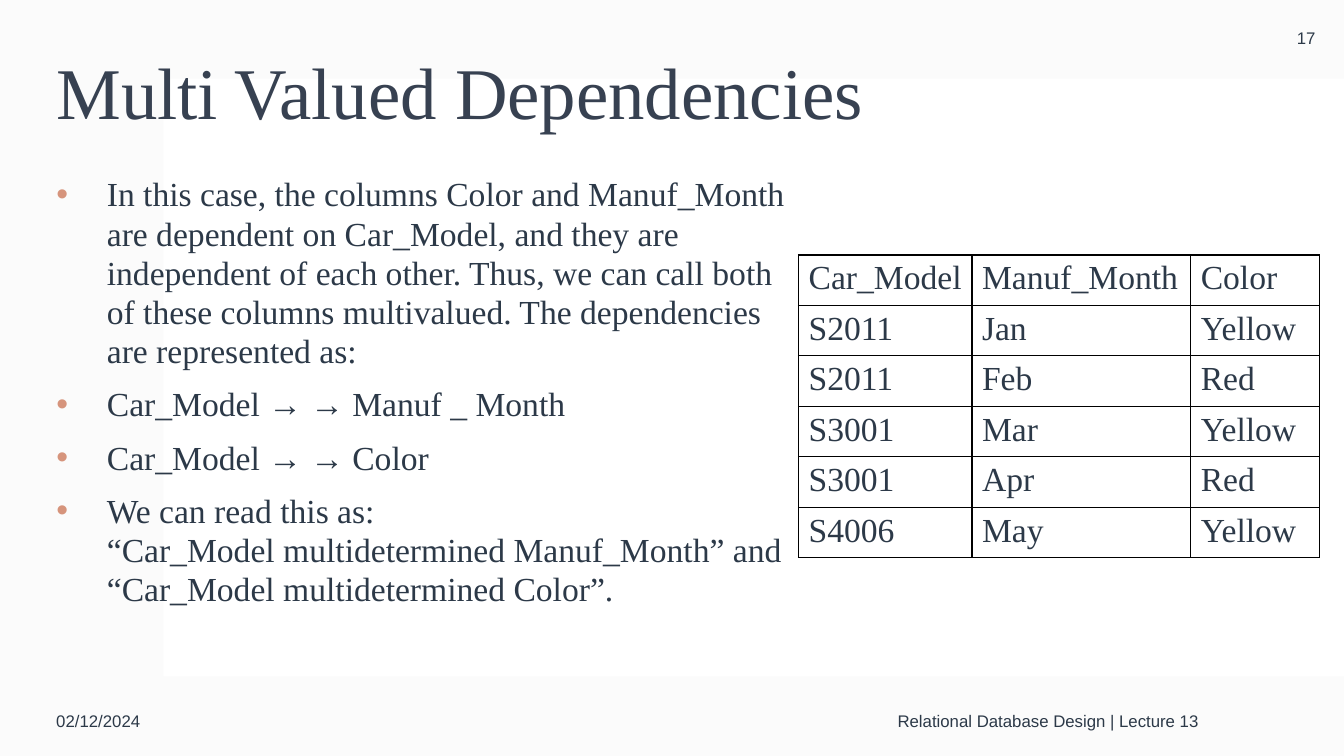
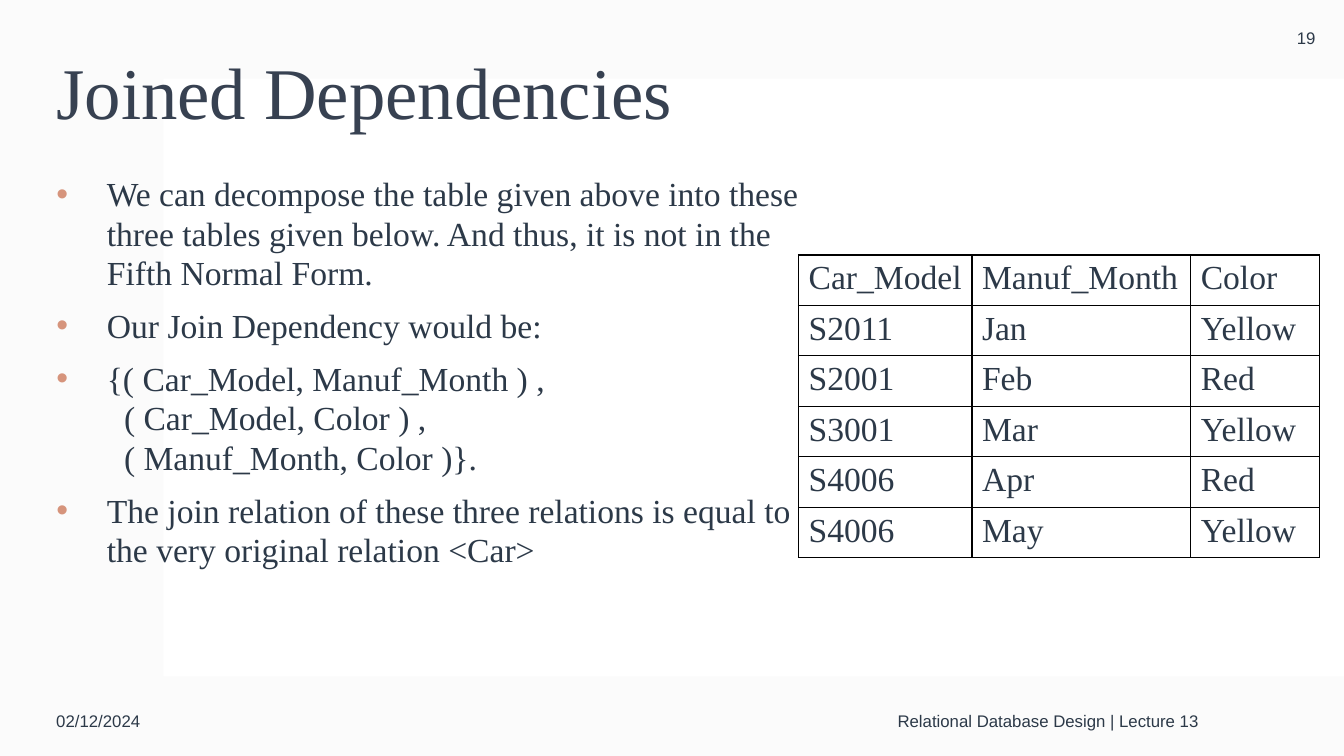
"""Build two lecture slides on multivalued and join dependencies."""
import dataclasses

import lxml.etree
import pptx
import pptx.dml.color
import pptx.enum.shapes
import pptx.enum.text
import pptx.oxml
import pptx.oxml.ns
import pptx.presentation
import pptx.shapes.base
import pptx.slide
import pptx.text.text
import pptx.util

Inches = pptx.util.Inches
Pt = pptx.util.Pt
Align = pptx.enum.text.PP_ALIGN
Anchor = pptx.enum.text.MSO_ANCHOR

COLORS = {
    "backdrop": "F4F4F4",
    "panel": "FFFFFF",
    "title": "374151",
    "text": "2C3948",
    "bullet": "D6947C",
    "border": "000000",
}
SERIF = "Times New Roman"
SANS = "Arial"
SLIDE_WIDTH, SLIDE_HEIGHT = 13.33, 7.5
LEFT = 0.46
COLUMN_WIDTHS = (1.72, 2.17, 1.28)
ROW_HEIGHT = 0.47
HEADER = ("Car_Model", "Manuf_Month", "Color")
MONTHS = ("Jan", "Feb", "Mar", "Apr", "May")
CAR_COLORS = ("Yellow", "Red", "Yellow", "Red", "Yellow")


@dataclasses.dataclass(frozen=True)
class Box:
    left: float
    top: float
    width: float
    height: float

    def lengths(self) -> tuple[pptx.util.Length, ...]:
        return tuple(Inches(value) for value in dataclasses.astuple(self))


@dataclasses.dataclass(frozen=True)
class Item:
    """A body paragraph; asterisks enclose italic parts."""
    text: str
    continued: bool = False


@dataclasses.dataclass(frozen=True)
class Lecture:
    title: str
    number: int
    body_width: float
    items: tuple[Item, ...]
    models: tuple[str, ...]


@dataclasses.dataclass(frozen=True)
class Panel:
    box: Box
    color: str
    opacity: int


@dataclasses.dataclass(frozen=True)
class Footer:
    text: str
    box: Box
    alignment: Align
    space_after: int


PANELS = (
    Panel(Box(0, 0, SLIDE_WIDTH, SLIDE_HEIGHT), "backdrop", 35),
    Panel(Box(1.62, 0.78, 11.71, 5.93), "panel", 100),
)
LECTURES = (
    Lecture(
        "Multi Valued Dependencies", 17, 7.46,
        (
            Item("In this case, the columns Color and Manuf_Month are dependent on "
                 "Car_Model, and they are independent of each other. Thus, we can call "
                 "both of these columns multivalued. The dependencies are represented as:"),
            Item("Car*_*Model* → → *Manuf *_* Month"),
            Item("Car*_*Model* → → *Color"),
            Item("We can read this as:\v“Car_Model multidetermined Manuf_Month” and "
                 "“Car_Model multidetermined Color”."),
        ),
        ("S2011", "S2011", "S3001", "S3001", "S4006"),
    ),
    Lecture(
        "Joined Dependencies", 19, 7.59,
        (
            Item("We can decompose the table given above into these three tables given "
                 "below. And thus, it is not in the Fifth Normal Form."),
            Item("Our Join Dependency would be:"),
            Item("{( Car_Model, Manuf_Month ) ,"),
            Item("( Car_Model, Color ) ,", continued=True),
            Item("( Manuf_Month, Color )}.", continued=True),
            Item("The join relation of these three relations is equal to the very "
                 "original relation <Car>"),
        ),
        ("S2011", "S2001", "S3001", "S4006", "S4006"),
    ),
)


def rgb(name: str) -> pptx.dml.color.RGBColor:
    return pptx.dml.color.RGBColor.from_string(COLORS[name])


def format_runs(paragraph: pptx.text.text._Paragraph, font: str, size: int,
                color: str = "text") -> None:
    for run in paragraph.runs:
        run.font.name = font
        run.font.size = Pt(size)
        run.font.color.rgb = rgb(color)


def place(shape: pptx.shapes.base.BaseShape, box: Box) -> None:
    shape.left, shape.top, shape.width, shape.height = box.lengths()


def add_child(parent: lxml.etree._Element, tag: str, **attributes: str) -> lxml.etree._Element:
    return lxml.etree.SubElement(parent, pptx.oxml.ns.qn(tag), attributes)


def move_panels_to_layout(slide: pptx.slide.Slide) -> None:
    tree = slide.slide_layout.shapes.element
    for position, panel in enumerate(PANELS):
        shape = slide.shapes.add_shape(
            pptx.enum.shapes.MSO_SHAPE.RECTANGLE, *panel.box.lengths())
        shape.shadow.inherit = False
        shape.line.fill.background()
        shape.fill.solid()
        shape.fill.fore_color.rgb = rgb(panel.color)
        color = next(shape.element.iter(pptx.oxml.ns.qn("a:srgbClr")))
        if panel.opacity < 100:
            add_child(color, "a:alpha", val=str(panel.opacity * 1000))
        shape.element.nvSpPr.cNvPr.set("id", str(20 + position))
        tree.insert(2 + position, shape.element)


def add_title(slide: pptx.slide.Slide, text: str) -> None:
    title = slide.shapes.title
    place(title, Box(LEFT, 0.23, 12.12, 1.45))
    frame = title.text_frame
    frame.text = text
    frame.auto_size = pptx.enum.text.MSO_AUTO_SIZE.NONE
    frame.vertical_anchor = Anchor.MIDDLE
    paragraph = frame.paragraphs[0]
    paragraph.alignment = Align.LEFT
    paragraph.line_spacing = 0.9
    format_runs(paragraph, SERIF, 52, "title")


def set_bullet(paragraph: pptx.text.text._Paragraph, continued: bool) -> None:
    properties = paragraph._p.get_or_add_pPr()
    properties.set("marL", str(Inches(0.67 if continued else 0.5)))
    properties.set("indent", str(Inches(0 if continued else -0.5)))
    if continued:
        add_child(properties, "a:buNone")
        return
    add_child(add_child(properties, "a:buClr"), "a:srgbClr", val=COLORS["bullet"])
    add_child(properties, "a:buFont", typeface=SANS)
    add_child(properties, "a:buChar", char="•")


def add_body(slide: pptx.slide.Slide, lecture: Lecture) -> None:
    body = slide.placeholders[1]
    place(body, Box(LEFT, 1.68, lecture.body_width, 5.26))
    frame = body.text_frame
    frame.auto_size = pptx.enum.text.MSO_AUTO_SIZE.NONE
    for index, item in enumerate(lecture.items):
        paragraph = frame.add_paragraph() if index else frame.paragraphs[0]
        first, *pieces = item.text.split("*")
        paragraph.text = first
        for position, piece in enumerate(pieces):
            run = paragraph.add_run()
            run.text = piece
            run.font.italic = position % 2 == 0
        set_bullet(paragraph, item.continued)
        paragraph.line_spacing = Pt(28)
        paragraph.space_before = Pt(10 if index and not item.continued else 0)
        format_runs(paragraph, SERIF, 24)


def add_footers(slide: pptx.slide.Slide, number: int) -> None:
    footers = (
        Footer("02/12/2024", Box(LEFT, 6.8, 3, 0.7), Align.LEFT, 6),
        Footer("Relational Database Design | Lecture 13",
               Box(4.12, 6.8, 7.87, 0.7), Align.RIGHT, 6),
        Footer(str(number), Box(12.58, 0, 0.75, 0.75), Align.CENTER, 0),
    )
    for footer in footers:
        frame = slide.shapes.add_textbox(*footer.box.lengths()).text_frame
        frame.word_wrap = True
        frame.vertical_anchor = Anchor.MIDDLE
        frame.text = footer.text
        paragraph = frame.paragraphs[0]
        paragraph.alignment = footer.alignment
        paragraph.space_after = Pt(footer.space_after)
        format_runs(paragraph, SANS, 12)


def set_borders(properties: lxml.etree._Element) -> None:
    for position, side in enumerate(("a:lnL", "a:lnR", "a:lnT", "a:lnB")):
        line = add_child(properties, side, w=str(Pt(1)))
        add_child(add_child(line, "a:solidFill"), "a:srgbClr", val=COLORS["border"])
        properties.insert(position, line)


def add_car_table(slide: pptx.slide.Slide, models: tuple[str, ...]) -> None:
    rows = (HEADER, *zip(models, MONTHS, CAR_COLORS))
    box = Box(7.92, 2.53, sum(COLUMN_WIDTHS), ROW_HEIGHT * len(rows))
    table = slide.shapes.add_table(len(rows), len(HEADER), *box.lengths()).table
    table.first_row = table.horz_banding = False
    for column, width in zip(table.columns, COLUMN_WIDTHS):
        column.width = Inches(width)
    for row, values in zip(table.rows, rows):
        row.height = Inches(ROW_HEIGHT)
        for cell, value in zip(row.cells, values):
            cell.text_frame.text = value
            format_runs(cell.text_frame.paragraphs[0], SERIF, 24)
            cell.fill.background()
            set_borders(cell._tc.get_or_add_tcPr())


def add_lecture(presentation: pptx.presentation.Presentation,
                lecture: Lecture) -> pptx.slide.Slide:
    slide = presentation.slides.add_slide(presentation.slide_layouts[1])
    add_title(slide, lecture.title)
    add_body(slide, lecture)
    add_footers(slide, lecture.number)
    add_car_table(slide, lecture.models)
    return slide


def main() -> None:
    presentation = pptx.Presentation()
    presentation.slide_width = Inches(SLIDE_WIDTH)
    presentation.slide_height = Inches(SLIDE_HEIGHT)
    slides = [add_lecture(presentation, lecture) for lecture in LECTURES]
    move_panels_to_layout(slides[0])
    presentation.save("out.pptx")


if __name__ == "__main__":
    main()
